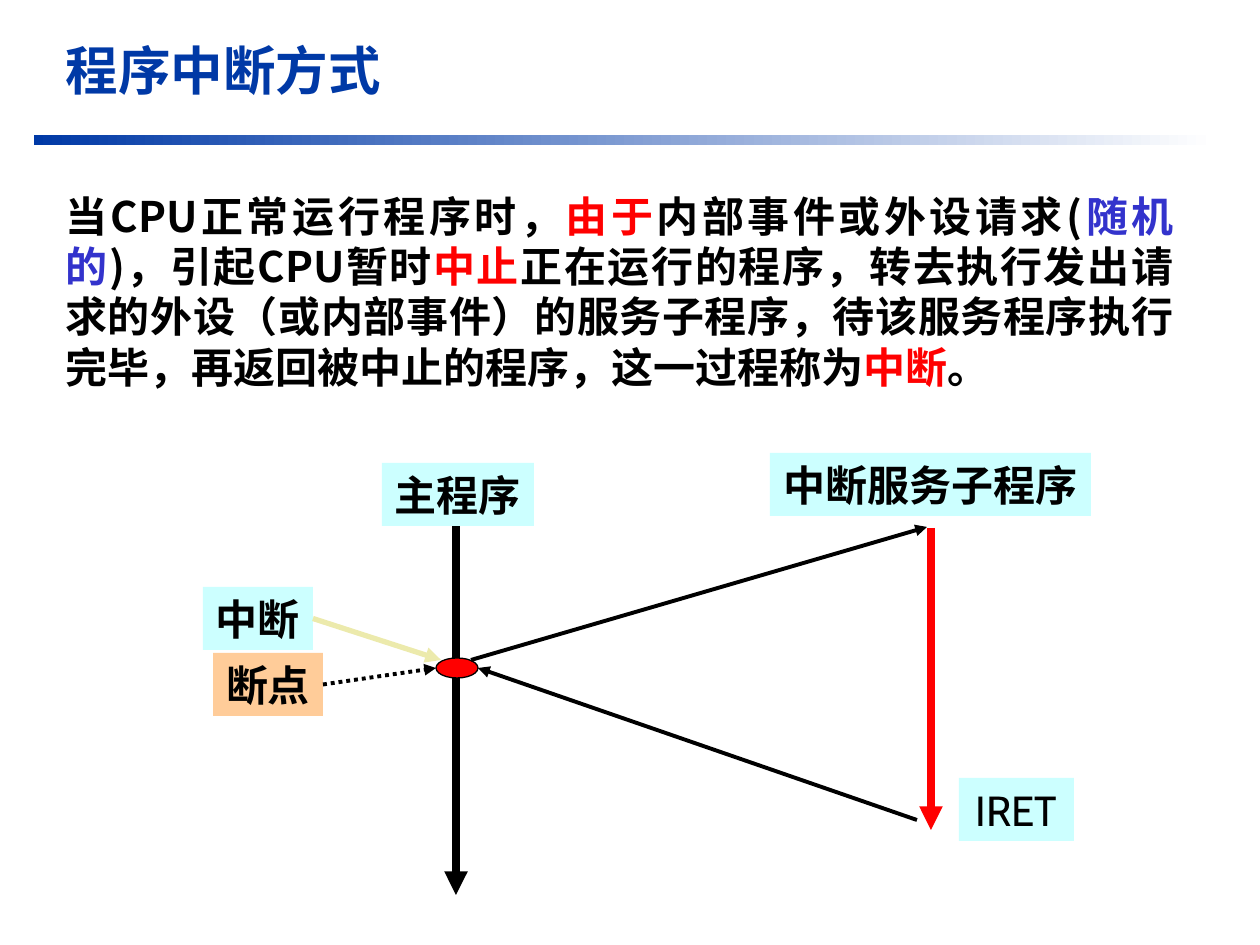
from typing import NamedTuple, Optional

from lxml import etree
from pptx import Presentation
from pptx import util as u
from pptx.dml.color import RGBColor
from pptx.enum import dml, shapes, text
from pptx.oxml.ns import qn

PX = 914400 / 126
BLUE = RGBColor(0x00, 0x39, 0xA6)
WHITE = RGBColor(0xFF, 0xFF, 0xFF)
BLACK = RGBColor(0x00, 0x00, 0x00)
RED = RGBColor(0xFF, 0x00, 0x00)
VIOLET = RGBColor(0x33, 0x33, 0xCC)
CYAN = RGBColor(0xCC, 0xFF, 0xFF)
ORANGE = RGBColor(0xFF, 0xCC, 0x99)
STRAW = RGBColor(0xEC, 0xEA, 0xAC)
CJK = "Noto Sans CJK SC"
LATIN = "Cabin"
SERIF = "Times New Roman"


class Label(NamedTuple):
    words: str
    left: int
    top: int
    width: int
    fill: RGBColor = CYAN
    font: str = LATIN
    bold: bool = True


class Arrow(NamedTuple):
    start: tuple[int, int]
    end: tuple[int, int]
    color: RGBColor = BLACK
    weight: float = 2.25
    dotted: bool = False
    source: Optional[str] = None


LABEL_HEIGHT = 63
LABELS = [
    Label("中断", 203, 587, 110, font=SERIF),
    Label("断点", 213, 653, 110, ORANGE),
    Label("IRET", 959, 778, 115, bold=False),
    Label("中断服务子程序", 770, 453, 321),
    Label("主程序", 382, 463, 152),
]
MAIN_PROGRAM = Arrow((456, 513), (456, 895), weight=4.5)
ARROWS = [
    Arrow((323, 684), (436, 668), dotted=True, source="断点"),
    Arrow((471, 660), (927, 527)),
    Arrow((917, 820), (478, 668)),
    Arrow((931, 528), (931, 830), RED, 4.5),
    Arrow((313, 618), (441, 660), STRAW, 3, source="中断"),
]
DEFINITION = [
    ("当CPU正常运行程序时，", BLACK),
    ("由于", RED),
    ("内部事件或外设请求(", BLACK),
    ("随机的", VIOLET),
    (")，引起CPU暂时", BLACK),
    ("中止", RED),
    ("正在运行的程序，转去执行发出请求的外设（或内部事件）的服务子程序，"
     "待该服务程序执行完毕，再返回被中止的程序，这一过程称为", BLACK),
    ("中断", RED),
    ("。", BLACK),
]


def px(*lengths: int) -> list[u.Emu]:
    return [u.Emu(round(length * PX)) for length in lengths]


def add_run(paragraph, words: str, color: RGBColor, size: int = 24,
            font: str = CJK, bold: bool = True) -> None:
    run = paragraph.add_run()
    run.text = words
    run.font.size = u.Pt(size)
    run.font.bold = bold
    run.font.name = font
    run.font.color.rgb = color
    properties = run.font._element
    properties.find(qn("a:latin")).addnext(
        properties.makeelement(qn("a:ea"), {"typeface": CJK}))


def add_title(slide) -> None:
    title = slide.shapes.title
    title.left, title.top, title.width, title.height = px(53, 32, 727, 77)
    frame = title.text_frame
    frame.vertical_anchor = text.MSO_ANCHOR.TOP
    frame.auto_size = text.MSO_AUTO_SIZE.SHAPE_TO_FIT_TEXT
    paragraph = frame.paragraphs[0]
    paragraph.alignment = text.PP_ALIGN.LEFT
    paragraph.line_spacing = 1.0
    add_run(paragraph, "程序中断方式", BLUE, 30)


def add_rule(slide) -> None:
    rule = slide.shapes.add_shape(shapes.MSO_SHAPE.RECTANGLE, *px(34, 135, 1181, 10))
    rule.shadow.inherit = False
    rule.line.fill.background()
    rule.fill.gradient()
    rule.fill.gradient_angle = 0
    for stop, color in zip(rule.fill.gradient_stops, (BLUE, WHITE)):
        stop.color.rgb = color


def add_definition(slide) -> None:
    frame = slide.shapes.add_textbox(*px(53, 184, 1133, 217)).text_frame
    frame.word_wrap = True
    frame.auto_size = text.MSO_AUTO_SIZE.SHAPE_TO_FIT_TEXT
    paragraph = frame.paragraphs[0]
    paragraph.alignment = text.PP_ALIGN.JUSTIFY
    for words, color in DEFINITION:
        add_run(paragraph, words, color)


def add_label(slide, label: Label):
    shape = slide.shapes.add_shape(
        shapes.MSO_SHAPE.RECTANGLE,
        *px(label.left, label.top, label.width, LABEL_HEIGHT))
    shape.shadow.inherit = False
    shape.fill.solid()
    shape.fill.fore_color.rgb = label.fill
    shape.line.fill.background()
    frame = shape.text_frame
    frame.word_wrap = False
    frame.auto_size = text.MSO_AUTO_SIZE.SHAPE_TO_FIT_TEXT
    frame.vertical_anchor = text.MSO_ANCHOR.MIDDLE
    paragraph = frame.paragraphs[0]
    paragraph.alignment = text.PP_ALIGN.CENTER
    add_run(paragraph, label.words, BLACK, font=label.font, bold=label.bold)
    return shape


def add_breakpoint(slide) -> None:
    shape = slide.shapes.add_shape(
        shapes.MSO_SHAPE.FLOWCHART_CONNECTOR, *px(436, 658, 42, 20))
    shape.shadow.inherit = False
    shape.fill.solid()
    shape.fill.fore_color.rgb = RED
    shape.line.color.rgb = BLACK
    shape.line.width = u.Pt(0.75)


def add_arrow(slide, arrow: Arrow, boxes: dict) -> None:
    connector = slide.shapes.add_connector(
        shapes.MSO_CONNECTOR.STRAIGHT, *px(*arrow.start, *arrow.end))
    if arrow.source:
        connector.begin_connect(boxes[arrow.source], 3)
    connector.line.color.rgb = arrow.color
    connector.line.width = u.Pt(arrow.weight)
    if arrow.dotted:
        connector.line.dash_style = dml.MSO_LINE.ROUND_DOT
    properties = connector._element.spPr
    etree.SubElement(properties.find(qn("a:ln")), qn("a:tailEnd"), type="triangle")
    etree.SubElement(properties, qn("a:effectLst"))


def main() -> None:
    """Build the slide on interrupt-driven program control."""
    presentation = Presentation()
    presentation.slide_width, presentation.slide_height = px(1260, 945)
    slide = presentation.slides.add_slide(presentation.slide_layouts[5])
    add_rule(slide)
    add_title(slide)
    add_definition(slide)
    add_arrow(slide, MAIN_PROGRAM, {})
    add_breakpoint(slide)
    boxes = {label.words: add_label(slide, label) for label in LABELS}
    for arrow in ARROWS:
        add_arrow(slide, arrow, boxes)
    presentation.save("out.pptx")


if __name__ == "__main__":
    main()
